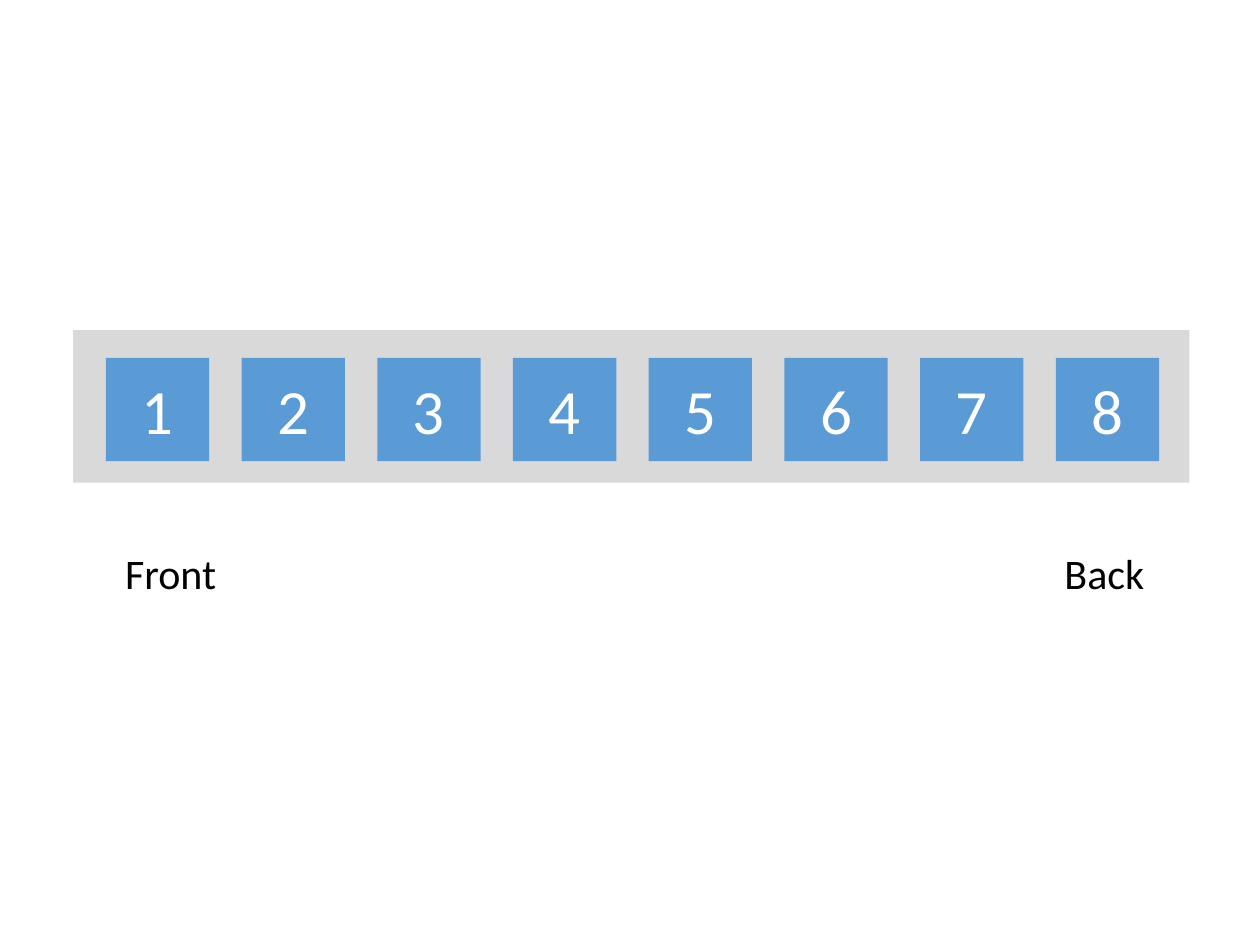
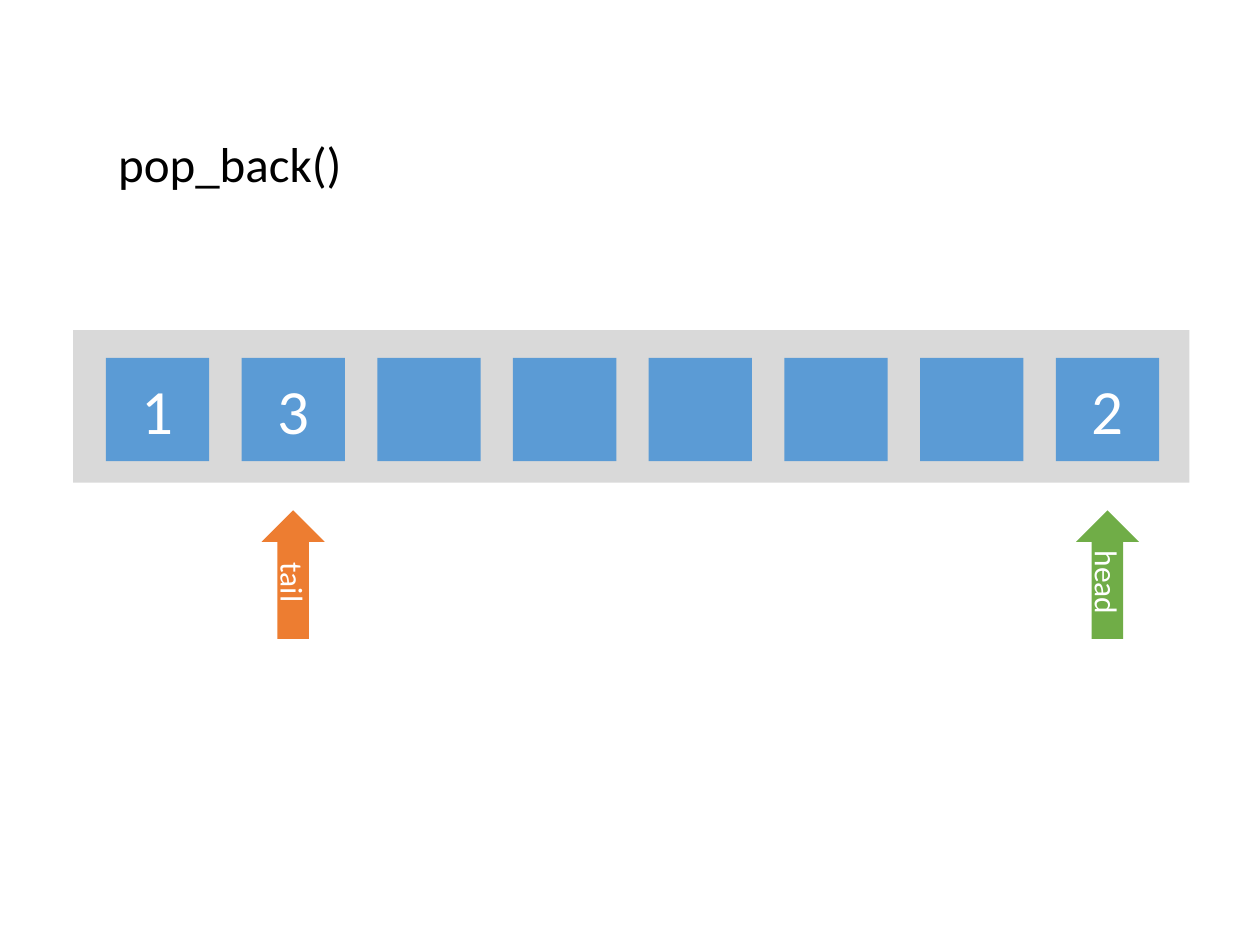
"""Build two slides showing a deque stored in a row of eight cells."""
from pptx import Presentation
from pptx.dml.color import RGBColor
from pptx.enum.shapes import MSO_SHAPE as SHAPE
from pptx.enum.text import MSO_ANCHOR as ANCHOR, MSO_AUTO_SIZE as AUTO, PP_ALIGN as ALIGN
from pptx.util import Inches, Pt

BLUE, GRAY, ORANGE, GREEN = "5B9BD5", "D9D9D9", "ED7D31", "70AD47"
WHITE, BLACK = "FFFFFF", "000000"
FONT = "Calibri"

SLIDES = [
    {
        "cells": ["1", "2", "3", "4", "5", "6", "7", "8"],
        "labels": [
            ("Front", (0.67, 4.3, 1.37, 0.5), 24, ALIGN.CENTER),
            ("Back", (8.08, 4.3, 1.37, 0.5), 24, ALIGN.CENTER),
        ],
        "pointers": [],
    },
    {
        "cells": ["1", "3", "", "", "", "", "", "2"],
        "labels": [("pop_back()", (0.84, 1.01, 4.6, 0.57), 28, ALIGN.LEFT)],
        "pointers": [("tail", 1, ORANGE), ("head", 7, GREEN)],
    },
]

BAND = (0.58, 2.62, 8.86, 1.21)
CELL_TOP, CELL_SIZE = 2.84, 0.82
FIRST_LEFT, LAST_LEFT = 0.84, 8.38
ARROW_TOP, ARROW_W, ARROW_H = 4.05, 0.5, 1.02


def rgb(color):
    return RGBColor.from_string(color)


def write(sp, text, size, color=WHITE, align=ALIGN.CENTER, anchor=ANCHOR.MIDDLE):
    tf = sp.text_frame
    tf.word_wrap = True
    tf.vertical_anchor = anchor
    p = tf.paragraphs[0]
    p.alignment = align
    r = p.add_run()
    r.text = text
    r.font.name, r.font.size = FONT, Pt(size)
    r.font.color.rgb = rgb(color)


def add_block(s, kind, box, fill):
    sp = s.shapes.add_shape(kind, *map(Inches, box))
    sp.shadow.inherit = False
    sp.fill.solid()
    sp.fill.fore_color.rgb = rgb(fill)
    sp.line.fill.background()
    return sp


def add_label(s, text, box, size, align):
    sp = s.shapes.add_textbox(*map(Inches, box))
    write(sp, text, size, color=BLACK, align=align, anchor=ANCHOR.TOP)
    sp.text_frame.auto_size = AUTO.SHAPE_TO_FIT_TEXT


def add_cells(s, values, lefts):
    add_block(s, SHAPE.RECTANGLE, BAND, GRAY)
    for value, left in zip(values, lefts):
        sp = add_block(s, SHAPE.RECTANGLE, (left, CELL_TOP, CELL_SIZE, CELL_SIZE), BLUE)
        if value:
            write(sp, value, 36)


def add_pointer(s, text, cell_left, color):
    left = cell_left + (CELL_SIZE - ARROW_W) / 2
    sp = add_block(s, SHAPE.UP_ARROW, (left, ARROW_TOP, ARROW_W, ARROW_H), color)
    write(sp, text, 18)
    sp.text_frame._txBody.bodyPr.set("vert", "vert")


def main():
    prs = Presentation()
    prs.slide_width, prs.slide_height = Inches(10), Inches(7.5)
    for content in SLIDES:
        s = prs.slides.add_slide(prs.slide_layouts[6])
        cells = content["cells"]
        pitch = (LAST_LEFT - FIRST_LEFT) / (len(cells) - 1)
        lefts = [FIRST_LEFT + i * pitch for i in range(len(cells))]
        add_cells(s, cells, lefts)
        for label in content["labels"]:
            add_label(s, *label)
        for text, index, color in content["pointers"]:
            add_pointer(s, text, lefts[index], color)
    prs.save("out.pptx")


if __name__ == "__main__":
    main()
